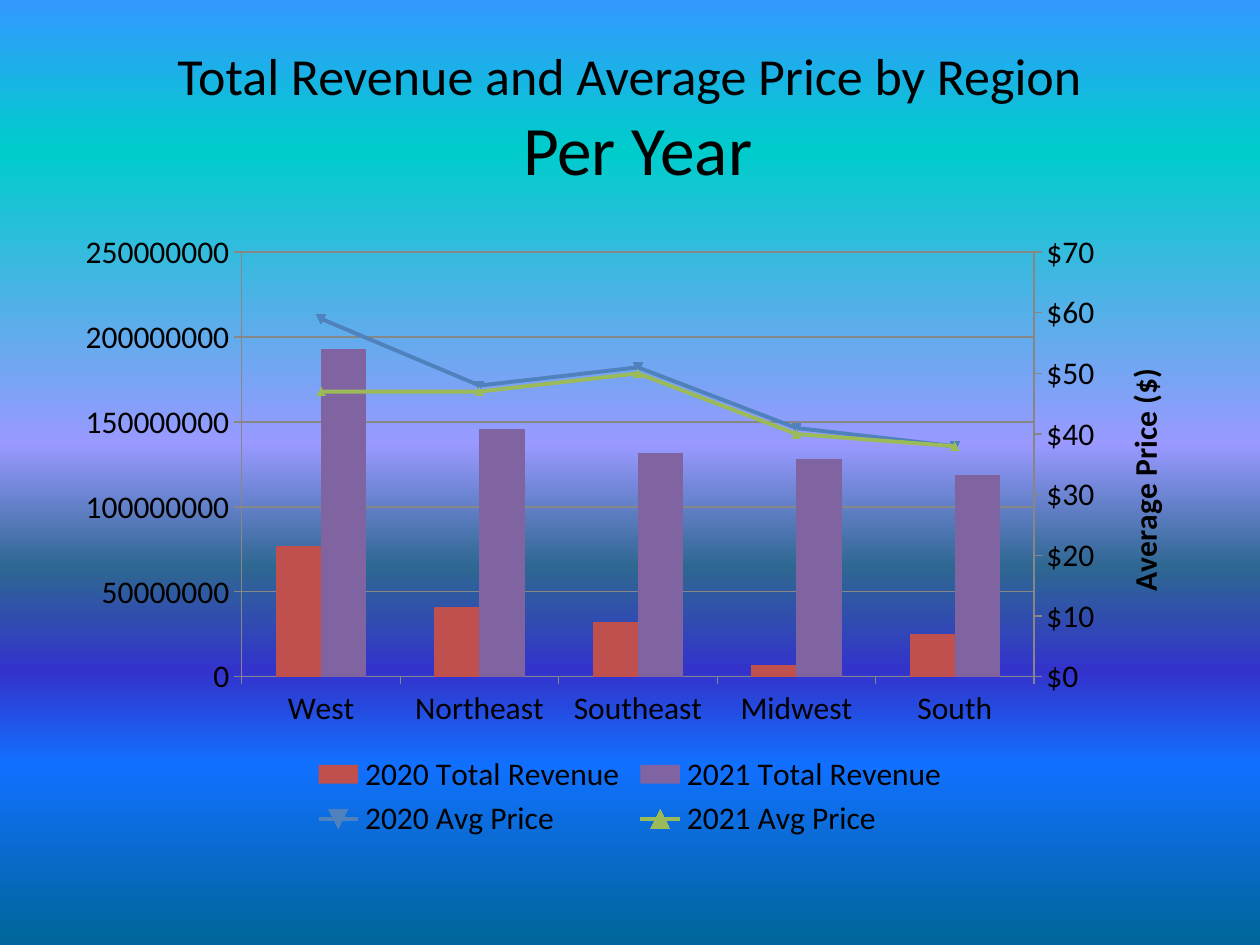
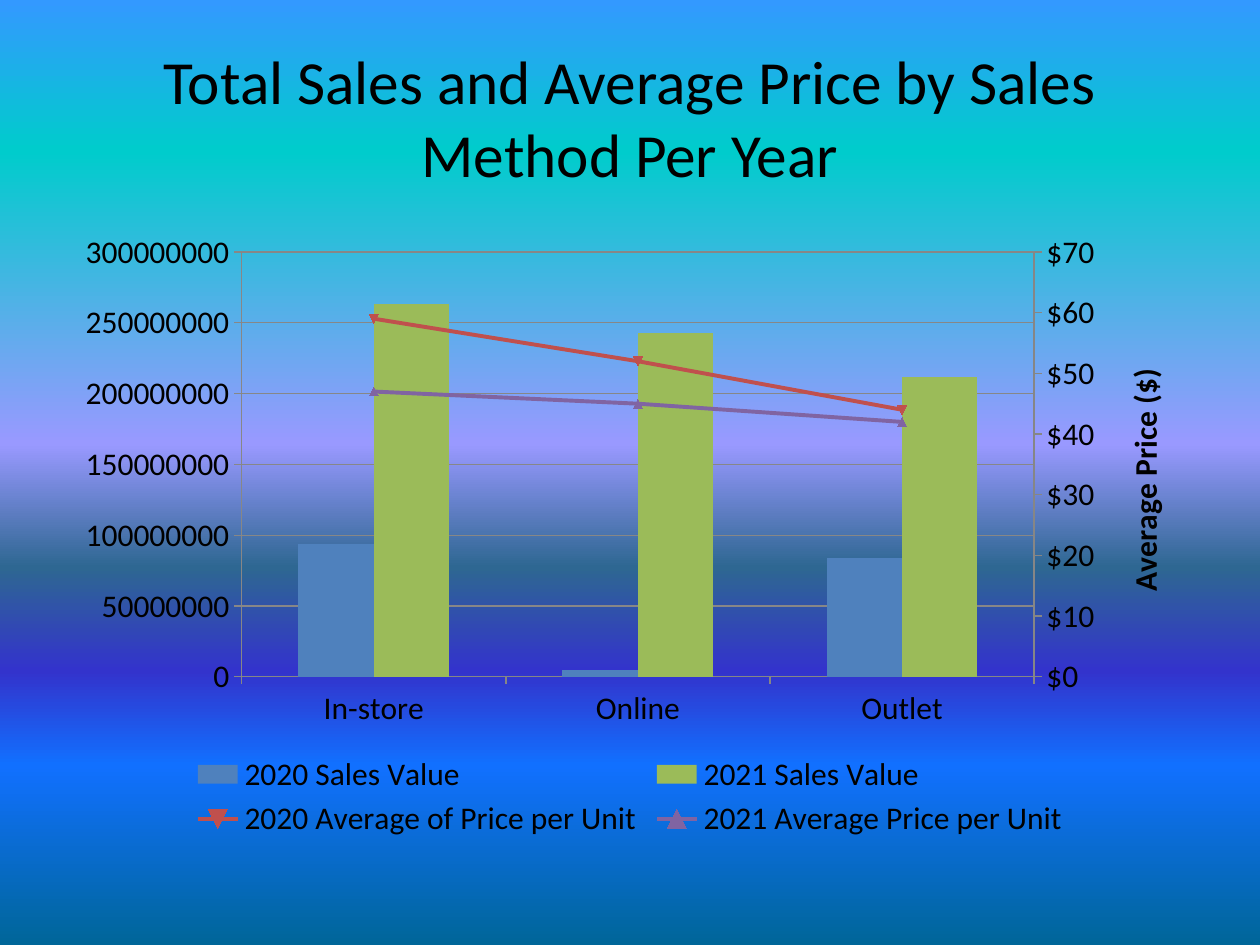
from copy import deepcopy

from lxml.etree import SubElement
from pptx import Presentation
from pptx.chart.axis import CategoryAxis, ValueAxis
from pptx.chart.data import CategoryChartData as ChartData
from pptx.dml.color import RGBColor
from pptx.enum.chart import XL_CHART_TYPE as ChartType
from pptx.enum.chart import XL_LEGEND_POSITION as LegendPosition
from pptx.enum.chart import XL_TICK_MARK as TickMark
from pptx.enum.text import MSO_ANCHOR as Anchor
from pptx.enum.text import PP_ALIGN as Align
from pptx.oxml.ns import qn
from pptx.util import Inches, Pt

BLACK = RGBColor(0x00, 0x00, 0x00)
GRAY = RGBColor(0x86, 0x86, 0x86)
RED = RGBColor(0xC0, 0x50, 0x4D)
PURPLE = RGBColor(0x80, 0x64, 0xA2)
BLUE = RGBColor(0x4F, 0x81, 0xBD)
GREEN = RGBColor(0x9B, 0xBB, 0x59)

SKY_STOPS = [
    (0, RGBColor(0x33, 0x99, 0xFF)),
    (16, RGBColor(0x00, 0xCC, 0xCC)),
    (47, RGBColor(0x99, 0x99, 0xFF)),
    (60, RGBColor(0x2E, 0x67, 0x92)),
    (71, RGBColor(0x33, 0x33, 0xCC)),
    (81, RGBColor(0x11, 0x70, 0xFF)),
    (100, RGBColor(0x00, 0x66, 0x99)),
]
FONT = "Calibri"
MILLION = 1_000_000
RIGHT_CATEGORY_ID, RIGHT_VALUE_ID = "50010", "50020"


def set_format(target, values):
    for name, value in values.items():
        setattr(target, name, value)


def set_font(font, size, bold=False):
    set_format(font, {"name": FONT, "size": Pt(size), "bold": bold})
    font.color.rgb = BLACK


def set_line(line, color, width):
    line.color.rgb = color
    line.width = Pt(width)


def paint_background(page):
    fill = page.background.fill
    fill.gradient()
    properties = page.background._cSld.find(qn("p:bg")).find(qn("p:bgPr"))
    gradient = properties.find(qn("a:gradFill"))
    stops = gradient.find(qn("a:gsLst"))
    for stop in list(stops):
        stops.remove(stop)
    for position, color in SKY_STOPS:
        stop = SubElement(stops, qn("a:gs"), pos=str(position * 1000))
        SubElement(stop, qn("a:srgbClr"), val=str(color))
    direction = gradient.find(qn("a:lin"))
    direction.set("ang", str(90 * 60000))
    direction.set("scaled", "0")


def add_title(page, lines):
    box = page.shapes.add_textbox(Inches(0.5), Inches(0.3), Inches(9), Inches(1.25))
    set_format(box.text_frame, {"word_wrap": True, "vertical_anchor": Anchor.MIDDLE})
    para = box.text_frame.paragraphs[0]
    para.alignment = Align.CENTER
    for number, (text, size) in enumerate(lines):
        if number:
            para.add_line_break()
        span = para.add_run()
        span.text = text
        set_font(span.font, size)


def style_axis(axis, number_format=None, title=None, top=None, step=None):
    set_format(axis, {"major_tick_mark": TickMark.OUTSIDE, "minor_tick_mark": TickMark.NONE})
    set_line(axis.format.line, GRAY, 0.75)
    set_font(axis.tick_labels.font, 18)
    if title:
        set_format(axis, {"minimum_scale": 0, "maximum_scale": top, "major_unit": step})
        set_format(axis.tick_labels, {"number_format": number_format,
                                      "number_format_is_linked": False})
        frame = axis.axis_title.text_frame
        frame.text = title
        set_font(frame.paragraphs[0].runs[0].font, 18, bold=True)


def copy_axis(element, axis_id, crossing_id, side, crosses):
    twin = deepcopy(element)
    values = {"axId": axis_id, "crossAx": crossing_id, "axPos": side, "crosses": crosses}
    for tag, value in values.items():
        twin.find(qn(f"c:{tag}")).set("val", value)
    return twin


def move_prices_to_right(chart):
    bars = chart._chartSpace.find(".//" + qn("c:barChart"))
    area = bars.getparent()
    lines = area.makeelement(qn("c:lineChart"))
    bars.addnext(lines)
    SubElement(lines, qn("c:grouping"), val="standard")
    SubElement(lines, qn("c:varyColors"), val="0")
    for series in bars.findall(qn("c:ser"))[2:]:
        for flag in series.findall(qn("c:invertIfNegative")):
            series.remove(flag)
        lines.append(series)
    SubElement(lines, qn("c:marker"), val="1")
    for axis_id in (RIGHT_CATEGORY_ID, RIGHT_VALUE_ID):
        SubElement(lines, qn("c:axId"), val=axis_id)

    category = area.find(qn("c:catAx"))
    value = area.find(qn("c:valAx"))
    right_value = copy_axis(value, RIGHT_VALUE_ID, RIGHT_CATEGORY_ID, "r", "max")
    right_category = copy_axis(category, RIGHT_CATEGORY_ID, RIGHT_VALUE_ID, "b", "autoZero")
    value.addnext(right_value)
    right_value.addnext(right_category)
    CategoryAxis(right_category).visible = False
    right_axis = ValueAxis(right_value)
    right_axis.has_major_gridlines = False
    return right_axis


def add_sales_chart(page, categories, sales, prices, sales_top):
    data = ChartData()
    data.categories = categories
    for name, values, color in sales:
        data.add_series(name, [value * MILLION for value in values])
    for name, values, color in prices:
        data.add_series(name, values)
    chart = page.shapes.add_chart(
        ChartType.COLUMN_CLUSTERED, Inches(0.5), Inches(1.75), Inches(9), Inches(4.95), data
    ).chart
    set_font(chart.font, 18)
    set_format(chart, {"has_title": False, "has_legend": True})
    set_format(chart.legend, {"position": LegendPosition.BOTTOM, "include_in_layout": False})
    set_font(chart.legend.font, 18)

    right_axis = move_prices_to_right(chart)
    style_axis(chart.category_axis)
    style_axis(chart.value_axis, '"$"#,##0', "Sales Value ($)", sales_top * MILLION, 50 * MILLION)
    style_axis(right_axis, "[$$-409]#,##0", "Average Price ($)", 70, 10)
    set_line(chart.value_axis.major_gridlines.format.line, GRAY, 0.75)

    columns, lines = chart.plots
    set_format(columns, {"gap_width": 150, "overlap": 0, "vary_by_categories": False})
    for series, (name, values, color) in zip(columns.series, sales):
        series.format.fill.solid()
        series.format.fill.fore_color.rgb = color
    for series, (name, values, color) in zip(lines.series, prices):
        series.smooth = False
        set_line(series.format.line, color, 2.25)
        series.marker.format.fill.solid()
        series.marker.format.fill.fore_color.rgb = color
        set_line(series.marker.format.line, color, 0.75)


def add_page(deck, title_lines, **chart_content):
    page = deck.slides.add_slide(deck.slide_layouts[6])
    paint_background(page)
    add_title(page, title_lines)
    add_sales_chart(page, **chart_content)


def main():
    deck = Presentation()
    set_format(deck, {"slide_width": Inches(10), "slide_height": Inches(7.5)})
    add_page(
        deck,
        [("Total Revenue and Average Price by Region", 29.7), (" Per Year", 39.6)],
        categories=["West", "Northeast", "Southeast", "Midwest", "South"],
        sales=[
            ("2020 Total Revenue", [77, 41, 32, 7, 25], RED),
            ("2021 Total Revenue", [193, 146, 132, 128, 119], PURPLE),
        ],
        prices=[
            ("2020 Avg Price", [59, 48, 51, 41, 38], BLUE),
            ("2021 Avg Price", [47, 47, 50, 40, 38], GREEN),
        ],
        sales_top=250,
    )
    add_page(
        deck,
        [("Total Sales and Average Price by Sales Method Per Year", 35)],
        categories=["In-store", "Online", "Outlet"],
        sales=[
            ("2020 Sales Value", [94, 5, 84], BLUE),
            ("2021 Sales Value", [263, 243, 212], GREEN),
        ],
        prices=[
            ("2020 Average of Price per Unit", [59, 52, 44], RED),
            ("2021 Average Price per Unit", [47, 45, 42], PURPLE),
        ],
        sales_top=300,
    )
    deck.save("out.pptx")


if __name__ == "__main__":
    main()
